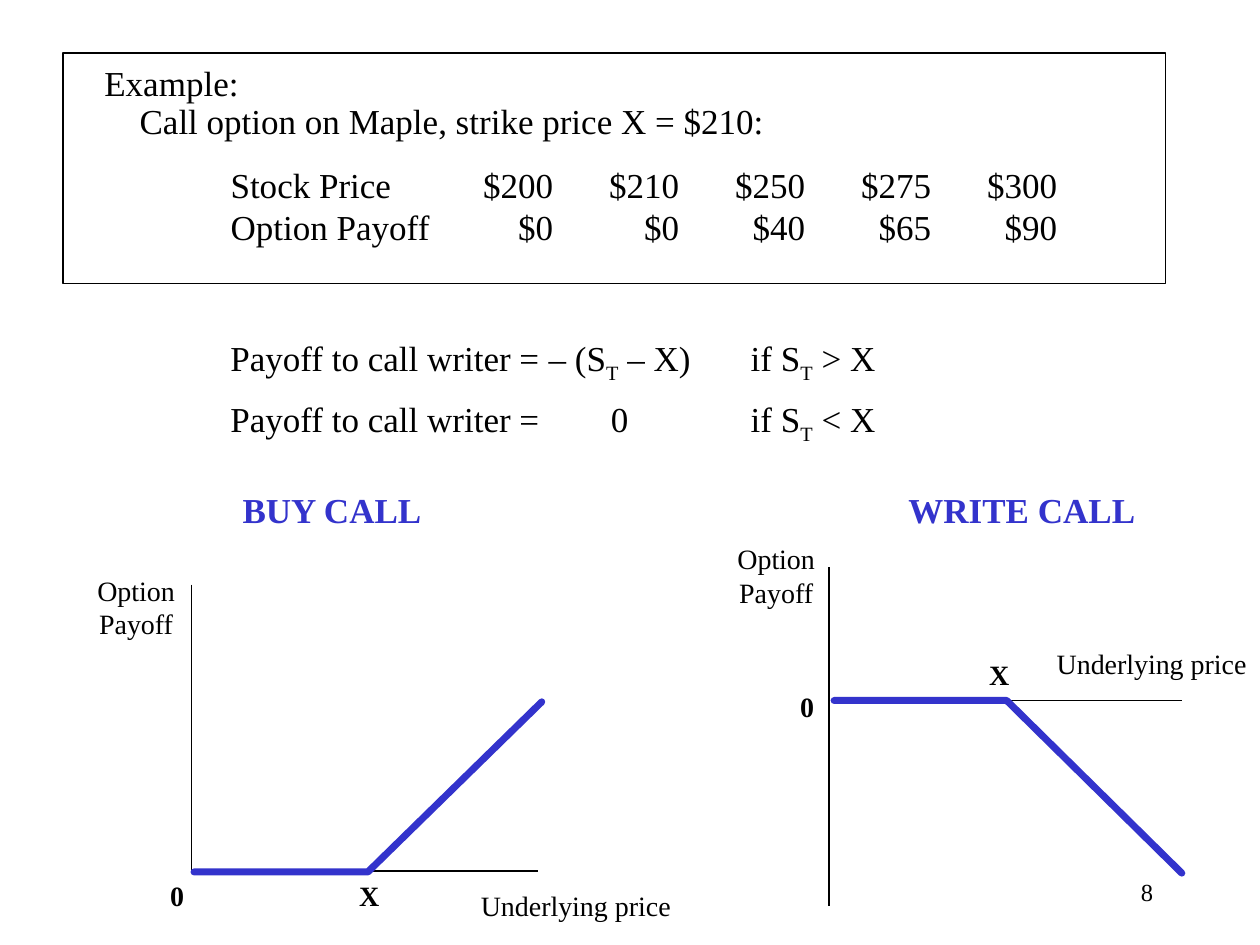
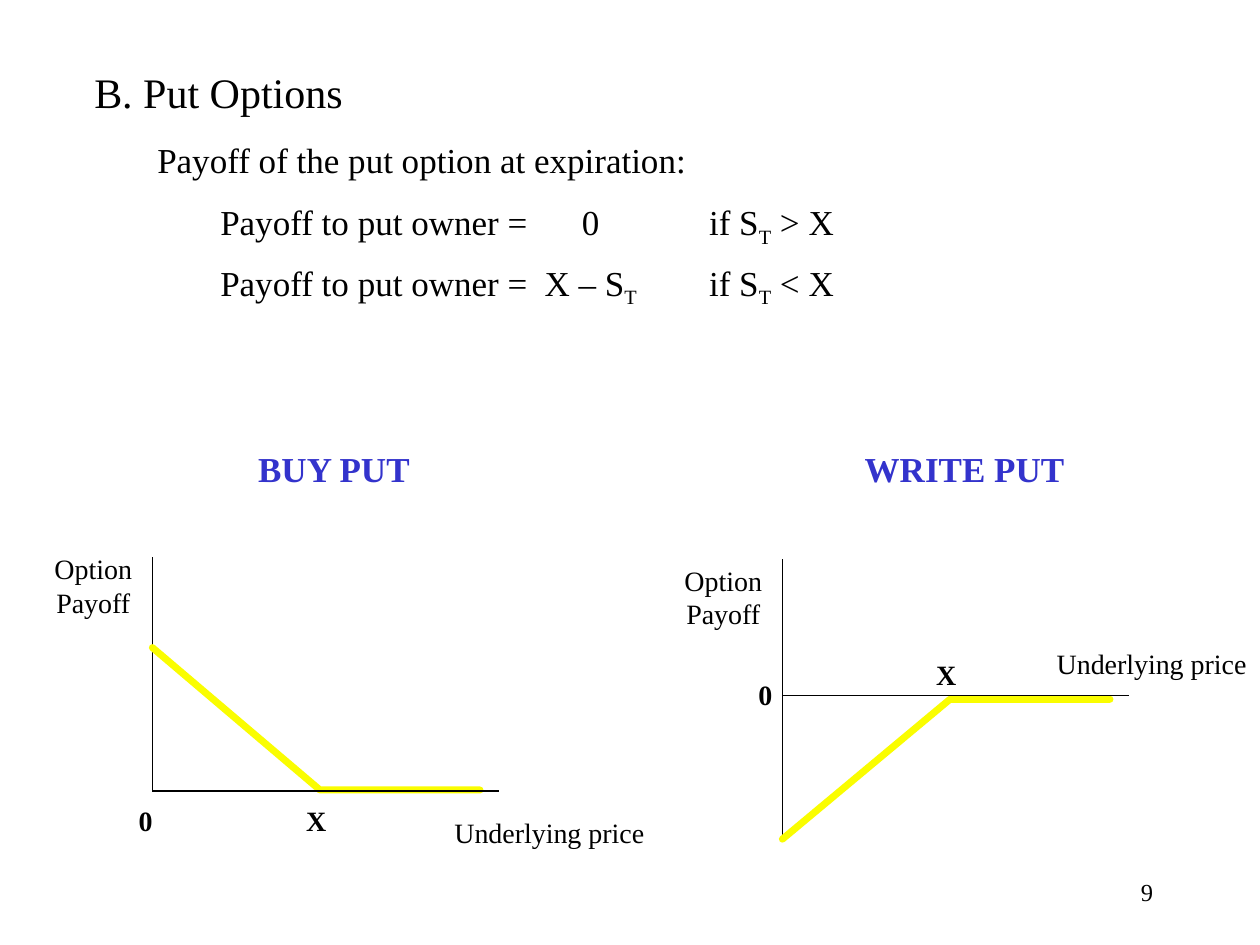
from lxml.etree import SubElement
from pptx import Presentation
from pptx.dml.color import RGBColor
from pptx.enum.shapes import MSO_CONNECTOR, MSO_SHAPE
from pptx.enum.text import MSO_ANCHOR, PP_ALIGN
from pptx.oxml.ns import qn
from pptx.util import Inches, Pt

BLACK = RGBColor(0x00, 0x00, 0x00)
BLUE = RGBColor(0x33, 0x33, 0xCC)
YELLOW = RGBColor(0xFA, 0xFD, 0x00)
FONT = "Times New Roman"


def add_text(tf, text, size=16, color=BLACK, bold=False, align=PP_ALIGN.CENTER,
             anchor=MSO_ANCHOR.TOP, after=0, tabs=()):
    """Fill a text frame; text between underscores is set as subscript."""
    tf.word_wrap = align == PP_ALIGN.LEFT
    tf.vertical_anchor = anchor
    for i, line in enumerate(text.split("\n")):
        p = tf.add_paragraph() if i else tf.paragraphs[0]
        p.alignment = align
        p.space_after = Pt(after)
        if tabs:
            tab_list = SubElement(p._p.get_or_add_pPr(), qn("a:tabLst"))
            for pos, kind in tabs:
                SubElement(tab_list, qn("a:tab"), pos=str(Inches(pos)), algn=kind)
        for j, part in enumerate(line.split("_")):
            r = p.add_run()
            r.text = part
            r.font.name, r.font.size, r.font.bold = FONT, Pt(size), bold
            r.font.color.rgb = color
            if j % 2:
                r.font._element.set("baseline", "-25000")


def add_line(s, points, color=BLACK, width=1):
    """Draw a straight connector, or an open outline through several points."""
    pts = [(Inches(x), Inches(y)) for x, y in points]
    if len(pts) == 2:
        sp = s.shapes.add_connector(MSO_CONNECTOR.STRAIGHT, *pts[0], *pts[1])
        SubElement(sp._element.spPr, qn("a:effectLst"))
    else:
        builder = s.shapes.build_freeform(*pts[0])
        builder.add_line_segments(pts[1:], close=False)
        sp = builder.convert_to_shape()
        sp.fill.background()
        sp.shadow.inherit = False
    sp.line.color.rgb = color
    sp.line.width = Pt(width)
    if width > 1:
        ln = sp.line._get_or_add_ln()
        ln.set("cap", "rnd")
        SubElement(ln, qn("a:round"))


prs = Presentation()
prs.slide_width, prs.slide_height = Inches(10), Inches(7.5)
call, put = [prs.slides.add_slide(prs.slide_layouts[6]) for _ in range(2)]

# Frame around the call example
frame = call.shapes.add_shape(MSO_SHAPE.RECTANGLE, Inches(0.5), Inches(0.42),
                              Inches(8.75), Inches(1.83))
frame.fill.background()
frame.line.color.rgb = BLACK
frame.line.width = Pt(1)
frame.shadow.inherit = False

# Headings and formulas: slide, left, top, size, text, tab stops
call_tabs = ((3.09, "ctr"), (4.13, "l"))
put_tabs = ((2.94, "ctr"), (3.88, "l"))
passages = [
    (call, 0.73, 0.44, 20, "Example:", ()),
    (call, 1.01, 0.74, 20, "Call option on Maple, strike price X = $210:", ()),
    (call, 1.73, 2.62, 20,
     "Payoff to call writer =\t– (S_T_ – X)\tif S_T_ > X\n"
     "Payoff to call writer =\t0\tif S_T_ < X", call_tabs),
    (put, 0.65, 0.48, 24, "B. Put Options", ()),
    (put, 1.15, 1.05, 20, "Payoff of the put option at expiration:", ()),
    (put, 1.65, 1.54, 20,
     "Payoff to put owner =\t0\tif S_T_ > X\n"
     "Payoff to put owner =\tX – S_T_\tif S_T_ < X", put_tabs),
]
for s, left, top, size, text, tabs in passages:
    box = s.shapes.add_textbox(Inches(left), Inches(top), Inches(6.5),
                               Inches(0.96 if tabs else 0.43))
    add_text(box.text_frame, text, size=size, align=PP_ALIGN.LEFT, after=7.5, tabs=tabs)

# Table of stock prices and option payoffs
prices = [200, 210, 250, 275, 300]
strike = 210
rows = [["Stock Price"] + [f"${x}" for x in prices],
        ["Option Payoff"] + [f"${max(x - strike, 0)}" for x in prices]]
widths = [1.8, 0.76, 1, 1, 1, 1]
table = call.shapes.add_table(2, 6, Inches(1.83), Inches(1.33),
                              Inches(sum(widths)), Inches(0.66)).table
table.first_row = table.horz_banding = False
for column, width in zip(table.columns, widths):
    column.width = Inches(width)
for r, row in enumerate(rows):
    table.rows[r].height = Inches(0.33)
    for c, value in enumerate(row):
        cell = table.cell(r, c)
        cell.fill.background()
        cell.margin_left = cell.margin_right = cell.margin_top = cell.margin_bottom = 0
        add_text(cell.text_frame, value, size=20,
                 align=PP_ALIGN.RIGHT if c else PP_ALIGN.LEFT)

# Payoff diagrams: axes and payoff lines, from back to front
lines = [
    (call, [(1.52, 4.64), (1.52, 6.91), (4.27, 6.91)], BLACK, 1),
    (call, [(1.54, 6.92), (2.92, 6.92), (4.3, 5.57)], BLUE, 4),
    (call, [(6.58, 4.5), (6.58, 7.19)], BLACK, 1),
    (call, [(6.63, 5.56), (9.38, 5.56)], BLACK, 1),
    (call, [(6.62, 5.56), (7.99, 5.56), (9.38, 6.93)], BLUE, 4),
    (put, [(1.21, 6.27), (1.21, 4.42)], BLACK, 1),
    (put, [(1.21, 5.14), (2.54, 6.27), (3.81, 6.27)], YELLOW, 4),
    (put, [(1.21, 6.28), (3.96, 6.28)], BLACK, 1),
    (put, [(6.21, 4.44), (6.21, 6.63)], BLACK, 1),
    (put, [(8.81, 5.55), (7.54, 5.55), (6.21, 6.66)], YELLOW, 4),
    (put, [(6.21, 5.52), (8.96, 5.52)], BLACK, 1),
]
for line in lines:
    add_line(*line)

# Diagram labels: text, width, height, format, places of the four diagrams
# in the order buy call, write call, buy put, write put
labels = [
    ("Option\nPayoff", 0.82, 0.64, {},
     [(0.67, 4.5), (5.75, 4.25), (0.33, 4.33), (5.33, 4.42)]),
    ("Underlying price", 1.72, 0.37, {},
     [(3.71, 7), (8.28, 5.08), (3.5, 6.42), (8.28, 5.08)]),
    ("X", 0.36, 0.37, {"bold": True},
     [(2.75, 6.92), (7.75, 5.17), (2.33, 6.33), (7.33, 5.17)]),
    ("0", 0.31, 0.37, {"bold": True},
     [(1.25, 6.92), (6.25, 5.42), (1, 6.33), (5.92, 5.33)]),
]
for text, width, height, style, places in labels:
    for s, (left, top) in zip((call, call, put, put), places):
        box = s.shapes.add_textbox(Inches(left), Inches(top), Inches(width), Inches(height))
        add_text(box.text_frame, text, **style)

# Diagram titles
titles = [(call, "BUY CALL", 1.82, 3.83, 1.63), (call, "WRITE CALL", 7.11, 3.83, 2),
          (put, "BUY PUT", 1.94, 3.5, 1.42), (put, "WRITE PUT", 6.76, 3.5, 1.79)]
for s, text, left, top, width in titles:
    box = s.shapes.add_textbox(Inches(left), Inches(top), Inches(width), Inches(0.43))
    add_text(box.text_frame, text, size=20, color=BLUE, bold=True)

# Slide numbers
for number, s in enumerate(prs.slides, start=8):
    box = s.shapes.add_textbox(Inches(7.17), Inches(6.83), Inches(2.08), Inches(0.5))
    add_text(box.text_frame, str(number), size=14, align=PP_ALIGN.RIGHT,
             anchor=MSO_ANCHOR.MIDDLE)

prs.save("out.pptx")
